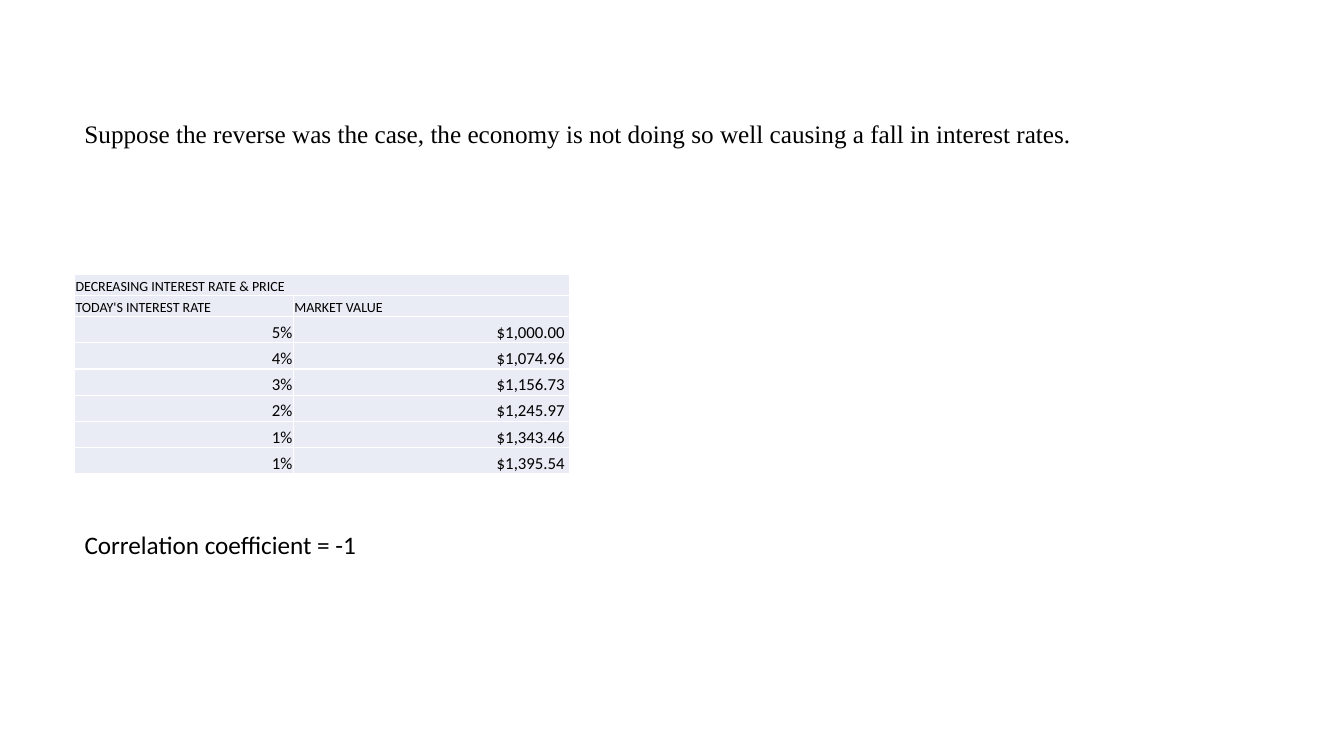
from pptx import Presentation
from pptx.dml.color import RGBColor
from pptx.enum.text import MSO_ANCHOR, MSO_AUTO_SIZE, PP_ALIGN
from pptx.oxml import parse_xml
from pptx.oxml.ns import nsdecls
from pptx.util import Inches, Pt

BLACK = RGBColor(0x00, 0x00, 0x00)
WHITE = RGBColor(0xFF, 0xFF, 0xFF)
PALE_BLUE = RGBColor(0xE9, 0xEB, 0xF5)
SANS, SERIF = "Calibri", "Times New Roman"

LEFT = 5.55
RATES = [
    ("5%", 1000.00),
    ("4%", 1074.96),
    ("3%", 1156.73),
    ("2%", 1245.97),
    ("1%", 1343.46),
    ("1%", 1395.54),
]


class SlideBuilder:
    """Places elements on a slide; lengths are percent of its width or height."""

    def __init__(self, prs):
        self.prs = prs
        self.s = prs.slides.add_slide(prs.slide_layouts[6])

    def x(self, share):
        return round(self.prs.slide_width * share / 100)

    def y(self, share):
        return round(self.prs.slide_height * share / 100)

    def style(self, p, size, font=SANS):
        p.font.size = Pt(size)
        p.font.name = font
        p.font.color.rgb = BLACK

    def text(self, top, width, height, text, font=SANS, spacing=None):
        box = self.s.shapes.add_textbox(
            self.x(LEFT), self.y(top), self.x(width), self.y(height))
        tf = box.text_frame
        tf.word_wrap = True
        tf.auto_size = MSO_AUTO_SIZE.SHAPE_TO_FIT_TEXT
        p = tf.paragraphs[0]
        p.text = text
        p.line_spacing = spacing
        self.style(p, 18, font)

    def borders(self, cell):
        tc_pr = cell._tc.get_or_add_tcPr()
        for side in "LRTB":
            tc_pr.append(parse_xml(
                f'<a:ln{side} {nsdecls("a")} w="{Pt(1)}"><a:solidFill>'
                f'<a:srgbClr val="{WHITE}"/></a:solidFill></a:ln{side}>'))

    def cell(self, cell, text, is_header):
        self.borders(cell)
        cell.fill.solid()
        cell.fill.fore_color.rgb = PALE_BLUE
        cell.vertical_anchor = MSO_ANCHOR.BOTTOM
        cell.margin_left = cell.margin_right = cell.margin_top = Inches(0.01)
        cell.margin_bottom = 0
        p = cell.text_frame.paragraphs[0]
        p.text = text
        p.alignment = PP_ALIGN.LEFT if is_header else PP_ALIGN.RIGHT
        self.style(p, 10 if is_header else 12)

    def table(self, top, widths, headers, body, header_height, body_height):
        rows = headers + body
        heights = [header_height] * len(headers) + [body_height] * len(body)
        table = self.s.shapes.add_table(
            len(rows), len(widths), self.x(LEFT), self.y(top),
            self.x(sum(widths)), self.y(sum(heights))).table
        table.first_row = table.horz_banding = False
        for column, width in zip(table.columns, widths):
            column.width = self.x(width)
        for i, (row, height) in enumerate(zip(rows, heights)):
            table.rows[i].height = self.y(height)
            for j, text in enumerate(row):
                self.cell(table.cell(i, j), text, i < len(headers))
        return table


def main():
    prs = Presentation()
    prs.slide_width, prs.slide_height = Inches(13.33), Inches(7.5)
    slide = SlideBuilder(prs)

    slide.text(12.93, 91.8, 6.8,
               "Suppose the reverse was the case, the economy is not doing so well "
               "causing a fall in interest rates.", SERIF, 1.5)

    headers = [("DECREASING INTEREST RATE & PRICE", ""),
               ("TODAY'S INTEREST RATE", "MARKET VALUE")]
    body = [(rate, f"${value:,.2f} ") for rate, value in RATES]
    table = slide.table(36.27, (16.28, 20.55), headers, body, 2.8, 3.47)
    table.cell(0, 0).merge(table.cell(0, 1))

    slide.text(69.33, 22.88, 5.33, "Correlation coefficient = -1")

    prs.save("out.pptx")


if __name__ == "__main__":
    main()
